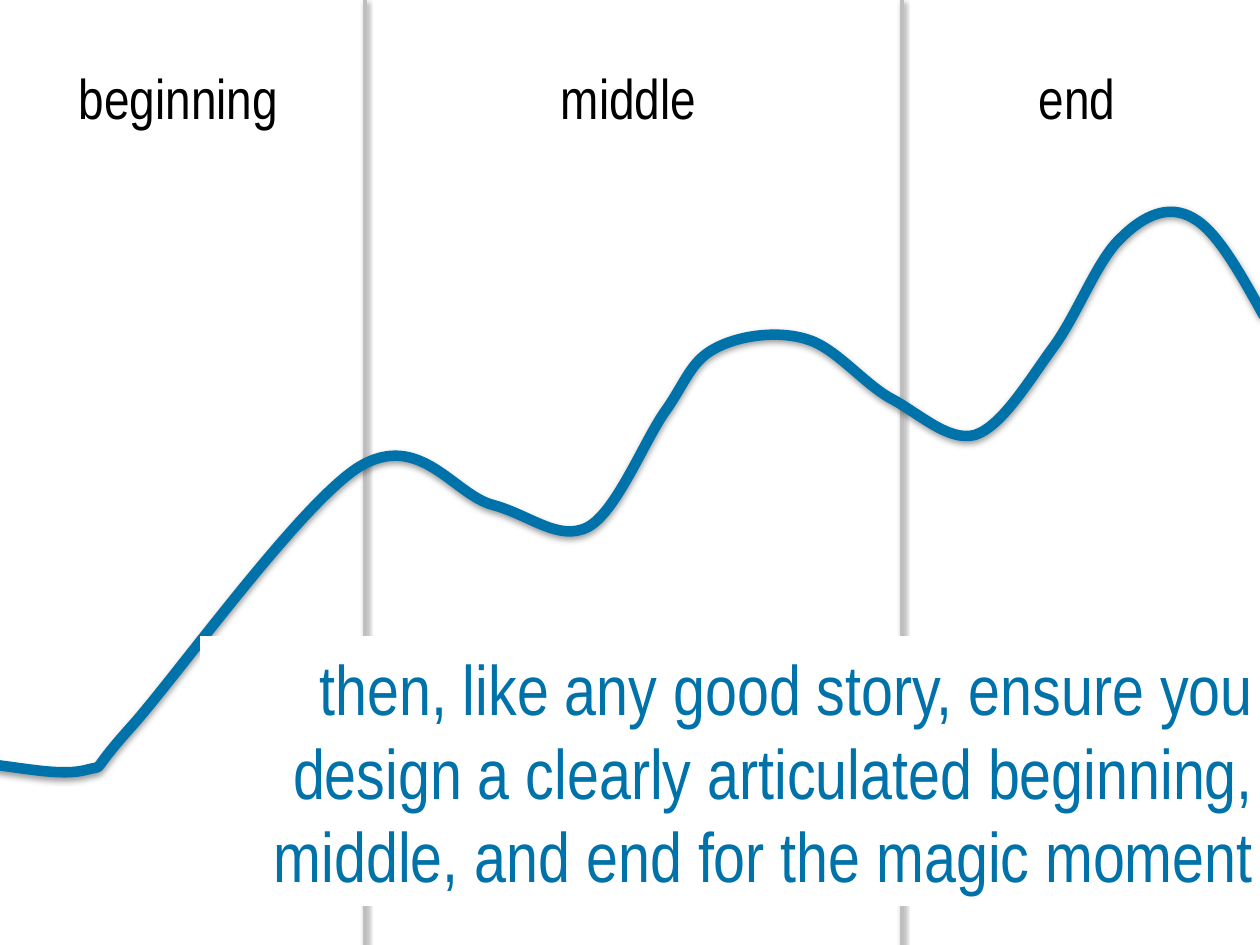
from lxml import etree
from pptx import Presentation
from pptx.dml.color import RGBColor
from pptx.enum.shapes import MSO_CONNECTOR, MSO_SHAPE
from pptx.enum.text import MSO_ANCHOR, PP_ALIGN
from pptx.oxml.ns import qn
from pptx.util import Pt

PX = 914400 / 126
WIDE, HIGH = 1260, 945
FONT = "Arial Narrow"
BLUE, GREY, BLACK, WHITE = "0072AA", "BFBFBF", "000000", "FFFFFF"
LINE, RECT = MSO_CONNECTOR.STRAIGHT, MSO_SHAPE.RECTANGLE
MIDDLE, TOP = MSO_ANCHOR.MIDDLE, MSO_ANCHOR.TOP
CENTER, RIGHT = PP_ALIGN.CENTER, PP_ALIGN.RIGHT

ACTS = [("beginning", -4, 365), ("middle", 360, 537), ("end", 897, 360)]
SPLITS = [365, 902]
MORAL = ("then, like any good story, ensure you design a clearly articulated "
         "beginning, middle, and end for the magic moment")
START = (-4, 765)
CURVES = [
    [(29, 769), (63, 776), (86, 770)],
    [(108, 764), (86, 777), (131, 727)],
    [(176, 677), (300, 504), (359, 467)],
    [(420, 430), (454, 495), (493, 505)],
    [(530, 515), (559, 542), (588, 527)],
    [(616, 512), (643, 444), (664, 413)],
    [(685, 384), (690, 362), (714, 349)],
    [(737, 336), (776, 330), (806, 339)],
    [(835, 347), (862, 382), (890, 398)],
    [(919, 413), (948, 442), (975, 435)],
    [(1002, 426), (1028, 382), (1052, 349)],
    [(1077, 316), (1097, 260), (1121, 238)],
    [(1144, 215), (1169, 204), (1193, 218)],
    [(1217, 231), (1240, 273), (1264, 316)],
]


def px(*nums):
    return [round(n * PX) for n in nums]


def color(text):
    return RGBColor.from_string(text)


def stroke(shape, tint, size):
    shape.line.color.rgb = color(tint)
    shape.line.width = Pt(size)
    props = shape._element.spPr
    effects = etree.SubElement(props, qn("a:effectLst"))
    shade = etree.SubElement(effects, qn("a:outerShdw"), blurRad="40000",
                             dist="20000", dir="5400000", rotWithShape="0")
    tone = etree.SubElement(shade, qn("a:srgbClr"), val=BLACK)
    etree.SubElement(tone, qn("a:alpha"), val="38000")


def write(shape, text, size, tint, align, anchor):
    frame = shape.text_frame
    frame.word_wrap = True
    frame.vertical_anchor = anchor
    frame.text = text
    para = frame.paragraphs[0]
    para.alignment = align
    font = para.runs[0].font
    font.name, font.size = FONT, Pt(size)
    font.color.rgb = color(tint)


def splits(slide, x, y, w, h):
    for gap in SPLITS:
        rule = slide.shapes.add_connector(
            LINE, *px(x + gap, y, x + gap, y + h))
        stroke(rule, GREY, 2)


def labels(slide, x, y, w, h):
    for name, left, width in ACTS:
        box = slide.shapes.add_textbox(*px(x + left, y, width, h))
        write(box, name, 32, BLACK, CENTER, TOP)


def arc(slide, x, y, w, h):
    pen = slide.shapes.build_freeform(x + START[0], y + START[1], scale=PX)
    pen.add_line_segments(
        [(x + a, y + b) for curve in CURVES for a, b in curve], close=False)
    shape = pen.convert_to_shape()
    steps = list(shape._element.iter(qn("a:lnTo")))
    for i in range(0, len(steps), 3):
        bend = etree.Element(qn("a:cubicBezTo"))
        steps[i].addprevious(bend)
        for step in steps[i:i + 3]:
            bend.append(step[0])
            step.getparent().remove(step)
    shape.fill.background()
    stroke(shape, BLUE, 6)


def moral(slide, x, y, w, h):
    box = slide.shapes.add_shape(RECT, *px(x, y, w, h))
    box.shadow.inherit = False
    box.fill.solid()
    box.fill.fore_color.rgb = color(WHITE)
    box.line.fill.background()
    write(box, MORAL, 40, BLUE, RIGHT, MIDDLE)


def main():
    deck = Presentation()
    deck.slide_width, deck.slide_height = px(WIDE, HIGH)
    slide = deck.slides.add_slide(deck.slide_layouts[6])
    splits(slide, 0, 0, WIDE, HIGH)
    labels(slide, 0, 57, WIDE, 81)
    arc(slide, 0, 0, WIDE, HIGH)
    moral(slide, 200, 636, 1065, 270)
    deck.save("out.pptx")


if __name__ == "__main__":
    main()
